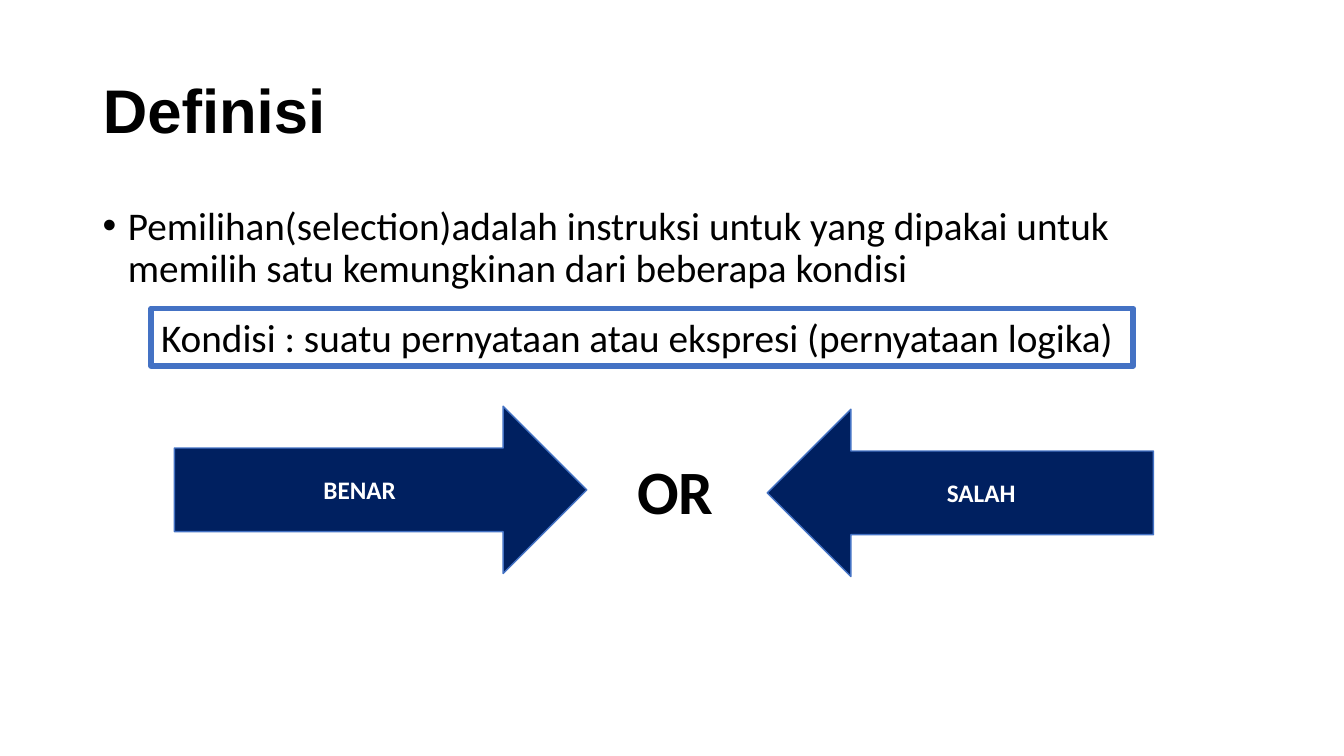
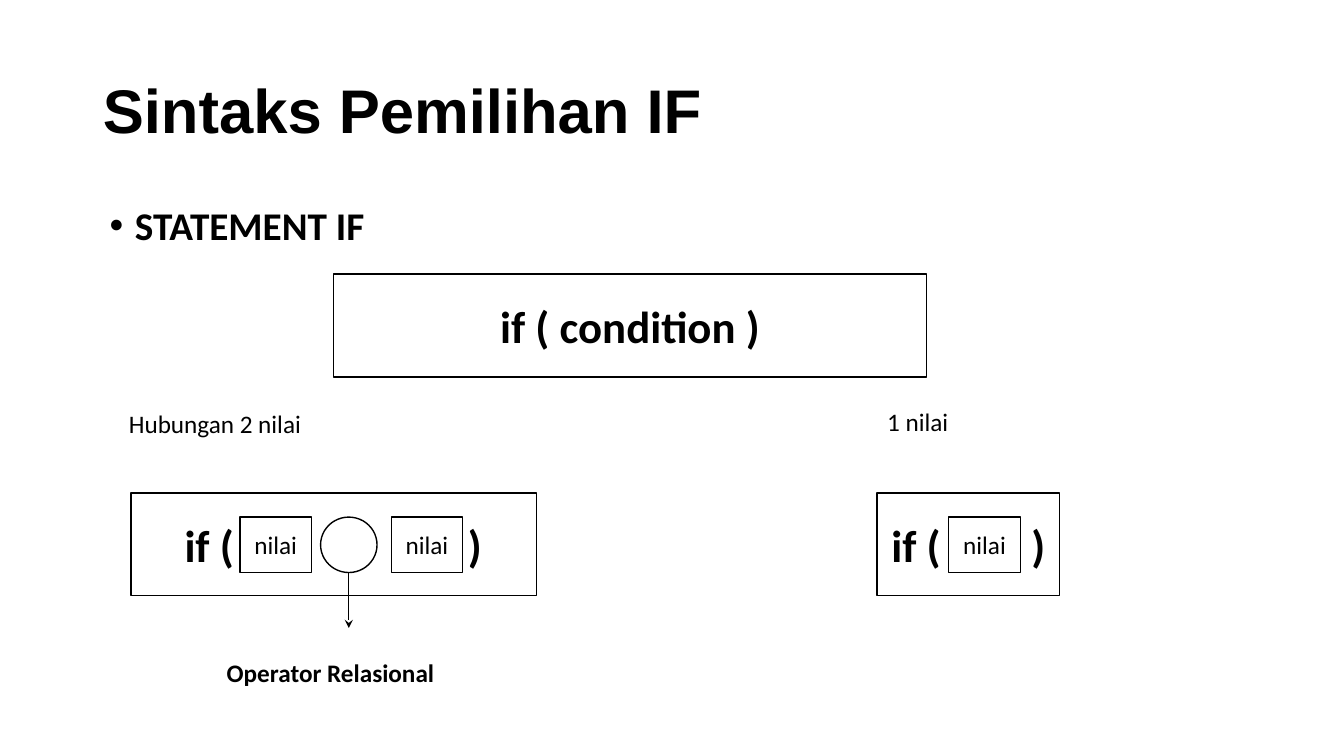
from dataclasses import dataclass

import lxml.etree
import pptx
import pptx.dml.color
import pptx.enum.shapes
import pptx.enum.text
import pptx.oxml.ns
import pptx.presentation
import pptx.shapes.autoshape
import pptx.shapes.base
import pptx.slide
import pptx.text.text
import pptx.util

EMU_PER_PX = 9144
TITLE_ONLY = 5
SHAPES = pptx.enum.shapes.MSO_SHAPE
ANCHOR = pptx.enum.text.MSO_ANCHOR
ALIGN = pptx.enum.text.PP_ALIGN


@dataclass(frozen=True)
class Theme:
    black: str = "000000"
    white: str = "FFFFFF"
    navy: str = "002060"
    blue: str = "4472C4"
    title_font: str = "Arial"
    body_font: str = "Calibri"
    title_size: int = 44
    code_size: int = 32
    body_size: int = 28
    label_size: int = 18
    line_spacing: float = 0.9
    inset_x: int = 10
    inset_y: int = 5


THEME = Theme()


@dataclass(frozen=True)
class Box:
    left: int
    top: int
    width: int
    height: int


@dataclass(frozen=True)
class TextStyle:
    size: int = THEME.label_size
    bold: bool = False
    color: str = THEME.black
    font: str = THEME.body_font
    align: ALIGN = ALIGN.LEFT
    anchor: ANCHOR = ANCHOR.TOP


@dataclass(frozen=True)
class ShapeStyle:
    kind: SHAPES = SHAPES.RECTANGLE
    fill: str = THEME.white
    line: str = THEME.black
    line_width: float = 1


@dataclass(frozen=True)
class Label:
    text: str
    box: Box
    style: TextStyle = TextStyle()


@dataclass(frozen=True)
class IfFrame:
    box: Box
    text_inset: int
    closing_tab: int
    value_lefts: tuple[int, ...]


TITLE_BOX = Box(92, 40, 1150, 145)
TITLE = TextStyle(THEME.title_size, True, font=THEME.title_font, anchor=ANCHOR.MIDDLE)
BODY = TextStyle(THEME.body_size)
BODY_BOLD = TextStyle(THEME.body_size, True)
OPERATOR = TextStyle(THEME.title_size, True)
LABEL_BOLD = TextStyle(bold=True)
ARROW_TEXT = TextStyle(bold=True, color=THEME.white, align=ALIGN.CENTER, anchor=ANCHOR.MIDDLE)
VALUE_TEXT = TextStyle(align=ALIGN.CENTER, anchor=ANCHOR.MIDDLE)
CODE_CENTERED = TextStyle(THEME.code_size, True, align=ALIGN.CENTER, anchor=ANCHOR.MIDDLE)
CODE_TABBED = TextStyle(THEME.code_size, True, anchor=ANCHOR.MIDDLE)
OUTLINED = ShapeStyle()
HIGHLIGHTED = ShapeStyle(line=THEME.blue, line_width=4)


def px(length: int) -> pptx.util.Emu:
    return pptx.util.Emu(length * EMU_PER_PX)


def color(value: str) -> pptx.dml.color.RGBColor:
    return pptx.dml.color.RGBColor.from_string(value)


def bounds(box: Box) -> tuple[pptx.util.Emu, ...]:
    return px(box.left), px(box.top), px(box.width), px(box.height)


def add_element(parent: lxml.etree._Element, tag: str, **attributes: str) -> lxml.etree._Element:
    return lxml.etree.SubElement(parent, pptx.oxml.ns.qn(tag), attributes)


def write_text(shape: pptx.shapes.base.BaseShape, text: str, style: TextStyle) -> pptx.text.text._Paragraph:
    frame = shape.text_frame
    frame.text = text
    frame.word_wrap = True
    frame.auto_size = pptx.enum.text.MSO_AUTO_SIZE.NONE
    frame.vertical_anchor = style.anchor
    frame.margin_left = frame.margin_right = px(THEME.inset_x)
    frame.margin_top = frame.margin_bottom = px(THEME.inset_y)
    paragraph = frame.paragraphs[0]
    paragraph.alignment = style.align
    for run in paragraph.runs:
        run.font.name = style.font
        run.font.size = pptx.util.Pt(style.size)
        run.font.bold = style.bold
        run.font.color.rgb = color(style.color)
    return paragraph


def add_titled_slide(presentation: pptx.presentation.Presentation, text: str) -> pptx.slide.Slide:
    slide = presentation.slides.add_slide(presentation.slide_layouts[TITLE_ONLY])
    title = slide.shapes.title
    title.left, title.top, title.width, title.height = bounds(TITLE_BOX)
    write_text(title, text, TITLE).line_spacing = THEME.line_spacing
    return slide


def add_label(slide: pptx.slide.Slide, label: Label) -> pptx.text.text._Paragraph:
    text_box = slide.shapes.add_textbox(*bounds(label.box))
    return write_text(text_box, label.text, label.style)


def add_bullet(slide: pptx.slide.Slide, label: Label) -> None:
    paragraph = add_label(slide, label)
    properties = paragraph._p.get_or_add_pPr()
    properties.set("marL", str(px(25)))
    properties.set("indent", str(px(-25)))
    bullet_color = add_element(properties, "a:buClr")
    add_element(bullet_color, "a:srgbClr", val=THEME.black)
    add_element(properties, "a:buFont", typeface=THEME.title_font)
    add_element(properties, "a:buChar", char="•")
    paragraph.line_spacing = THEME.line_spacing


def add_shape(slide: pptx.slide.Slide, box: Box, style: ShapeStyle) -> pptx.shapes.autoshape.Shape:
    shape = slide.shapes.add_shape(style.kind, *bounds(box))
    shape.shadow.inherit = False
    shape.fill.solid()
    shape.fill.fore_color.rgb = color(style.fill)
    shape.line.color.rgb = color(style.line)
    shape.line.width = pptx.util.Pt(style.line_width)
    return shape


def add_text_shape(slide: pptx.slide.Slide, label: Label, style: ShapeStyle) -> None:
    write_text(add_shape(slide, label.box, style), label.text, label.style)


def add_if_frame(slide: pptx.slide.Slide, frame: IfFrame) -> None:
    shape = add_shape(slide, frame.box, OUTLINED)
    paragraph = write_text(shape, "if (\t)", CODE_TABBED)
    shape.text_frame.margin_left = px(frame.text_inset)
    shape.text_frame.margin_right = 0
    tabs = add_element(paragraph._p.get_or_add_pPr(), "a:tabLst")
    add_element(tabs, "a:tab", pos=str(px(frame.closing_tab)), algn="l")
    for left in frame.value_lefts:
        add_text_shape(slide, Label("nilai", Box(left, 513, 71, 55), VALUE_TEXT), OUTLINED)


def add_down_arrow(slide: pptx.slide.Slide, x: int, top: int, bottom: int) -> None:
    connector = slide.shapes.add_connector(
        pptx.enum.shapes.MSO_CONNECTOR.STRAIGHT, px(x), px(top), px(x), px(bottom)
    )
    connector.line.color.rgb = color(THEME.black)
    connector.line.width = pptx.util.Pt(0.75)
    add_element(connector.line._get_or_add_ln(), "a:tailEnd", type="stealth")
    add_element(connector._element.spPr, "a:effectLst")


def build_definition(presentation: pptx.presentation.Presentation) -> None:
    slide = add_titled_slide(presentation, "Definisi")
    definition = (
        "Pemilihan(selection)adalah instruksi untuk yang dipakai untuk "
        "memilih satu kemungkinan dari beberapa kondisi"
    )
    add_bullet(slide, Label(definition, Box(92, 200, 1150, 476), BODY))
    condition = "Kondisi : suatu pernyataan atau ekspresi (pernyataan logika)"
    add_text_shape(slide, Label(condition, Box(150, 306, 974, 57), BODY), HIGHLIGHTED)
    arrows = (
        (Label("BENAR", Box(173, 403, 409, 166), ARROW_TEXT), SHAPES.RIGHT_ARROW),
        (Label("SALAH", Box(761, 406, 383, 166), ARROW_TEXT), SHAPES.LEFT_ARROW),
    )
    for label, kind in arrows:
        add_text_shape(slide, label, ShapeStyle(kind, THEME.navy, THEME.blue))
    add_label(slide, Label("OR", Box(622, 444, 110, 84), OPERATOR))


def build_syntax(presentation: pptx.presentation.Presentation) -> None:
    slide = add_titled_slide(presentation, "Sintaks Pemilihan IF")
    add_bullet(slide, Label("STATEMENT IF", Box(99, 200, 1150, 476), BODY_BOLD))
    add_text_shape(slide, Label("if ( condition )", Box(331, 272, 588, 102), CODE_CENTERED), OUTLINED)
    frames = (
        IfFrame(Box(130, 489, 402, 102), 53, 281, (238, 388)),
        IfFrame(Box(870, 489, 181, 102), 14, 139, (941,)),
    )
    for frame in frames:
        add_if_frame(slide, frame)
    operator = Box(318, 513, 56, 55)
    add_shape(slide, operator, ShapeStyle(SHAPES.OVAL))
    add_down_arrow(slide, operator.left + operator.width // 2, operator.top + operator.height, 623)
    labels = (
        Label("Hubungan 2 nilai", Box(118, 400, 203, 40)),
        Label("1 nilai", Box(870, 398, 99, 40)),
        Label("Operator Relasional", Box(215, 647, 237, 40), LABEL_BOLD),
    )
    for label in labels:
        add_label(slide, label)


def main() -> None:
    presentation = pptx.Presentation()
    presentation.slide_width = px(1333)
    presentation.slide_height = px(750)
    build_definition(presentation)
    build_syntax(presentation)
    presentation.save("out.pptx")


if __name__ == "__main__":
    main()
